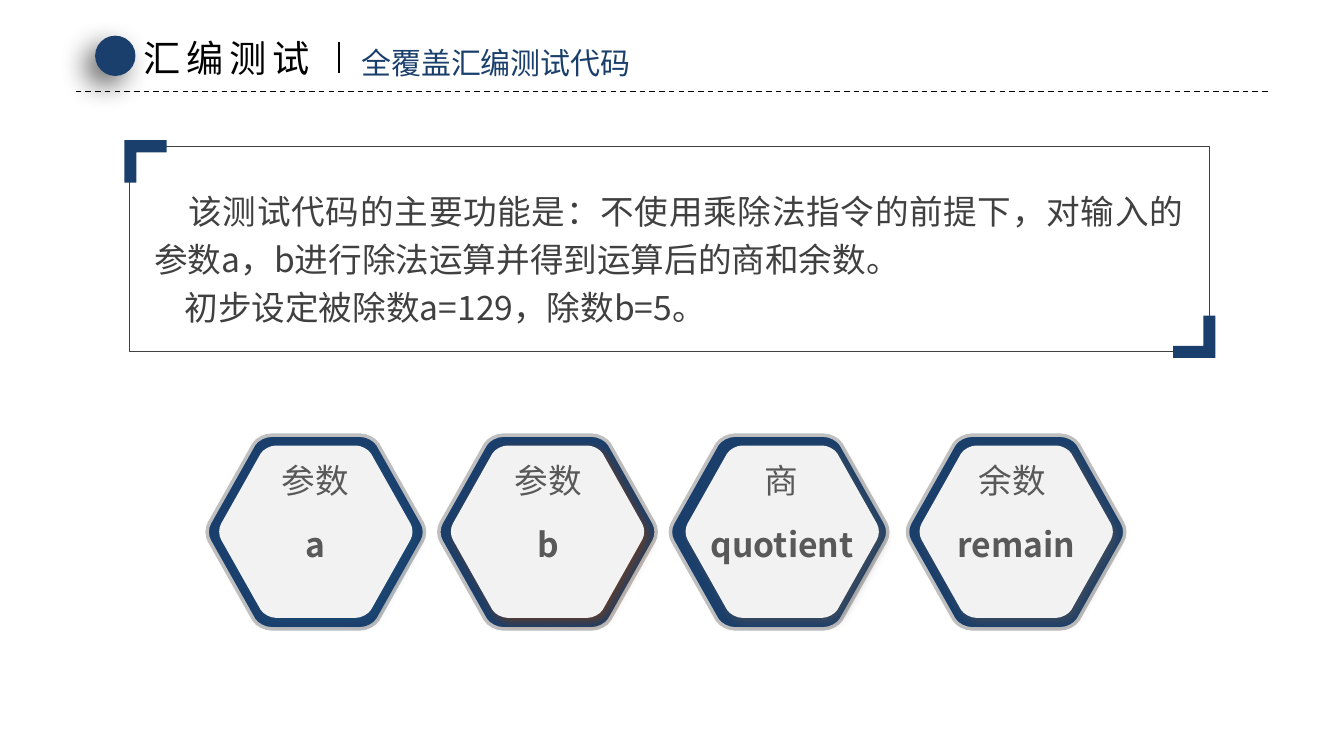
from dataclasses import dataclass
from typing import Optional

from lxml.etree import SubElement
from pptx import Presentation
from pptx.dml.color import RGBColor
from pptx.enum.dml import MSO_LINE
from pptx.enum.shapes import MSO_CONNECTOR, MSO_SHAPE
from pptx.enum.text import MSO_ANCHOR, MSO_AUTO_SIZE, PP_ALIGN
from pptx.oxml.ns import qn
from pptx.util import Inches, Pt

NAVY = RGBColor(0x1A, 0x3F, 0x6C)
BLACK = RGBColor(0x00, 0x00, 0x00)
CHARCOAL = RGBColor(0x40, 0x40, 0x40)
GREY = RGBColor(0x59, 0x59, 0x59)
SILVER = RGBColor(0xBF, 0xBF, 0xBF)
PALE = RGBColor(0xF2, 0xF2, 0xF2)
STEEL = RGBColor(0x1F, 0x4E, 0x79)
RUST = RGBColor(0x84, 0x3C, 0x0B)
SLATE = RGBColor(0x52, 0x52, 0x52)
FONT = "Noto Sans CJK SC"

SLIDE_WIDTH, SLIDE_HEIGHT = Inches(13.33), Inches(7.5)
Point = tuple[float, float]


@dataclass(frozen=True)
class Box:
    """A rectangle in percent of the slide's width and height."""
    left: float
    top: float
    width: float
    height: float

    def emu(self) -> tuple[int, int, int, int]:
        return across(self.left), down(self.top), across(self.width), down(self.height)


@dataclass(frozen=True)
class Shadow:
    color: RGBColor
    opacity: int
    blur: float
    distance: float
    angle: int


@dataclass(frozen=True)
class TextStyle:
    size: float
    color: RGBColor
    bold: bool = False
    spacing: float = 0
    align: PP_ALIGN = PP_ALIGN.LEFT


@dataclass(frozen=True)
class Hexagon:
    left: float
    caption: str
    name: str
    name_width: float
    glow: RGBColor
    inset: float = 0.9
    caption_shift: float = 0


@dataclass(frozen=True)
class BodyLine:
    text: str
    indent: float


HEXAGONS = [
    Hexagon(15.36, "参数", "a", 3, STEEL, caption_shift=-0.06),
    Hexagon(32.6, "参数", "b", 3, RUST, caption_shift=0.05),
    Hexagon(49.83, "商", "quotient", 13.58, SLATE, inset=1.13, caption_shift=-0.1),
    Hexagon(67.47, "余数", "remain", 10.58, SLATE, caption_shift=-0.3),
]
BODY = [
    BodyLine("该测试代码的主要功能是：不使用乘除法指令的前提下，"
             "对输入的参数a，b进行除法运算并得到运算后的商和余数。", 0.34),
    BodyLine("初步设定被除数a=129，除数b=5。", 0.3),
]
CAPTION_STYLE = TextStyle(24, GREY, align=PP_ALIGN.CENTER)
NAME_STYLE = TextStyle(24, GREY, bold=True, align=PP_ALIGN.CENTER)
CORNER_POINTS = 4


def across(percent: float) -> int:
    return round(SLIDE_WIDTH * percent / 100)


def down(percent: float) -> int:
    return round(SLIDE_HEIGHT * percent / 100)


def half_turn(points: list[Point]) -> list[Point]:
    return [(1 - x, 1 - y) for x, y in points]


def hexagon_outline() -> list[Point]:
    """Four curve points for each of the six corners, as shares of the box."""
    left_corner = [(0.03, 1.05), (0, 1), (0, 0.92), (0.03, 0.87)]
    top_left = [(0.47, 0.09), (0.5, 0.04), (0.58, 0), (0.64, 0)]
    corners = [(x / 2.17, y / 1.92) for x, y in left_corner + top_left]
    top_right = [(1 - x, y) for x, y in reversed(corners[CORNER_POINTS:])]
    upper_half = corners + top_right
    return upper_half + half_turn(upper_half)


def paint(shape, fill: Optional[RGBColor], line: Optional[RGBColor] = None,
          line_width: float = 1, shadow: Optional[Shadow] = None) -> None:
    if fill is None:
        shape.fill.background()
    else:
        shape.fill.solid()
        shape.fill.fore_color.rgb = fill
    if line is None:
        shape.line.fill.background()
    else:
        shape.line.color.rgb = line
        shape.line.width = Pt(line_width)
    shape.shadow.inherit = False
    if shadow:
        effects = shape._element.spPr.find(qn("a:effectLst"))
        outer = SubElement(effects, qn("a:outerShdw"), blurRad=str(Pt(shadow.blur)),
                           dist=str(Pt(shadow.distance)), dir=str(shadow.angle * 60000),
                           algn="ctr", rotWithShape="0")
        color = SubElement(outer, qn("a:srgbClr"), val=str(shadow.color))
        SubElement(color, qn("a:alpha"), val=str(shadow.opacity * 1000))


def add_outline(slide, box: Box, points: list[Point]):
    """Draw a closed outline whose points are shares of the box."""
    left, top, width, height = box.emu()
    vertices = [(round(left + x * width), round(top + y * height)) for x, y in points]
    builder = slide.shapes.build_freeform(*vertices[0], scale=1.0)
    builder.add_line_segments(vertices[1:], close=True)
    return builder.convert_to_shape()


def add_rounded_hexagon(slide, box: Box):
    shape = add_outline(slide, box, hexagon_outline())
    segments = list(shape._element.iter(qn("a:lnTo")))
    for first in range(0, len(segments), CORNER_POINTS):
        corner = segments[first:first + CORNER_POINTS - 1]
        bend = SubElement(corner[0].getparent(), qn("a:cubicBezTo"))
        corner[0].addprevious(bend)
        for segment in corner:
            bend.append(segment[0])
            segment.getparent().remove(segment)
    return shape


def add_rule(slide, start: Point, end: Point, width: float, dashed: bool = False) -> None:
    rule = slide.shapes.add_connector(MSO_CONNECTOR.STRAIGHT, across(start[0]), down(start[1]),
                                      across(end[0]), down(end[1]))
    rule.line.color.rgb = BLACK
    rule.line.width = Pt(width)
    if dashed:
        rule.line.dash_style = MSO_LINE.DASH
    SubElement(rule._element.spPr, qn("a:effectLst"))


def write(paragraph, text: str, style: TextStyle) -> None:
    paragraph.alignment = style.align
    run = paragraph.add_run()
    run.text = text
    run.font.size = Pt(style.size)
    run.font.bold = style.bold
    run.font.color.rgb = style.color
    run.font.name = FONT
    properties = run._r.get_or_add_rPr()
    SubElement(properties, qn("a:ea"), typeface=FONT)
    if style.spacing:
        properties.set("spc", str(round(style.spacing * 100)))


def set_text(shape, box: Box, text: str, style: TextStyle, wrap: bool = False) -> None:
    shape.left, shape.top, shape.width, shape.height = box.emu()
    frame = shape.text_frame
    frame.word_wrap = wrap
    frame.auto_size = MSO_AUTO_SIZE.SHAPE_TO_FIT_TEXT
    frame.vertical_anchor = MSO_ANCHOR.TOP
    write(frame.paragraphs[0], text, style)


def add_text(slide, box: Box, text: str, style: TextStyle, wrap: bool = False) -> None:
    set_text(slide.shapes.add_textbox(*box.emu()), box, text, style, wrap)


def add_header(slide) -> None:
    set_text(slide.shapes.title, Box(9.95, 4, 14.4, 7.33), "汇编测试",
             TextStyle(26.6, BLACK, spacing=4))
    add_rule(slide, (5.63, 12.13), (94.35, 12.13), 1, dashed=True)
    dot = slide.shapes.add_shape(MSO_SHAPE.OVAL, *Box(7.08, 4.72, 3, 5.33).emu())
    paint(dot, NAVY, shadow=Shadow(BLACK, 60, 20, 10, 135))
    add_text(slide, Box(26.15, 5.2, 21.75, 6.13), "全覆盖汇编测试代码", TextStyle(21.4, NAVY))
    add_rule(slide, (25.2, 5.6), (25.2, 9.6), 1.5)


def add_description(slide) -> None:
    border = slide.shapes.add_shape(MSO_SHAPE.ROUNDED_RECTANGLE,
                                    *Box(9.65, 19.35, 80.35, 27.1).emu())
    border.adjustments[0] = 0
    paint(border, None, CHARCOAL, 0.5)
    frame = slide.shapes.add_textbox(*Box(11.48, 24.13, 76.58, 19.07).emu()).text_frame
    frame.word_wrap = True
    frame.auto_size = MSO_AUTO_SIZE.SHAPE_TO_FIT_TEXT
    frame.margin_left = frame.margin_right = frame.margin_top = frame.margin_bottom = 0
    for index, line in enumerate(BODY):
        paragraph = frame.add_paragraph() if index else frame.paragraphs[0]
        write(paragraph, line.text, TextStyle(24, CHARCOAL, align=PP_ALIGN.JUSTIFY))
        paragraph.line_spacing = 1.2
        paragraph._p.get_or_add_pPr().set("indent", str(Inches(line.indent)))
    arm = 2 / 7
    bracket = [(0, 0), (1, 0), (1, arm), (arm, arm), (arm, 1), (0, 1)]
    paint(add_outline(slide, Box(9.25, 18.55, 3.15, 5.6), bracket), NAVY)
    paint(add_outline(slide, Box(87.28, 41.75, 3.15, 5.6), half_turn(bracket)), NAVY)


def add_hexagon(slide, hexagon: Hexagon) -> None:
    rim = Box(hexagon.left, 57.57, 16.28, 25.6)
    face = Box(hexagon.left + hexagon.inset, 58.93, 14.48, 22.8)
    paint(add_rounded_hexagon(slide, rim), NAVY, SILVER, 2.5)
    paint(add_rounded_hexagon(slide, face), PALE, shadow=Shadow(hexagon.glow, 64, 8, 4, 45))
    center = face.left + face.width / 2
    caption_left = center - 7.73 / 2 + hexagon.caption_shift
    add_text(slide, Box(caption_left, 60.2, 7.73, 6.67), hexagon.caption, CAPTION_STYLE, wrap=True)
    name_box = Box(center - hexagon.name_width / 2, 68.67, hexagon.name_width, 6.67)
    add_text(slide, name_box, hexagon.name, NAME_STYLE)


def main() -> None:
    presentation = Presentation()
    presentation.slide_width, presentation.slide_height = SLIDE_WIDTH, SLIDE_HEIGHT
    slide = presentation.slides.add_slide(presentation.slide_layouts[5])
    add_header(slide)
    add_description(slide)
    for hexagon in HEXAGONS:
        add_hexagon(slide, hexagon)
    presentation.save("out.pptx")


if __name__ == "__main__":
    main()
